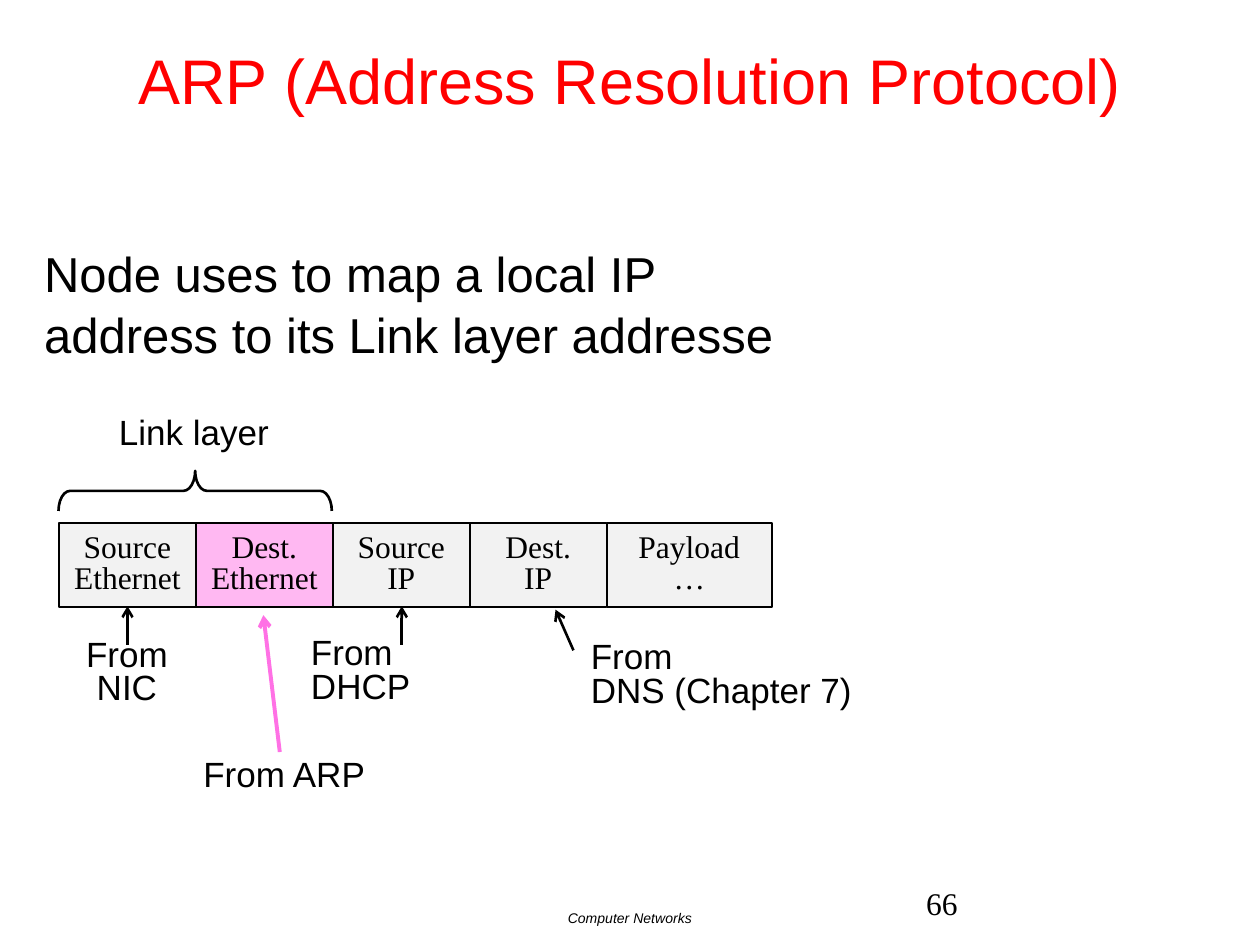
"""Build the slide on ARP and where each packet field comes from."""
from pptx import Presentation
from pptx import util as u
from pptx.dml.color import RGBColor
from pptx.enum import shapes, text
from pptx.oxml.ns import qn
from lxml import etree

BLACK = RGBColor(0x00, 0x00, 0x00)
RED = RGBColor(0xFF, 0x00, 0x00)
GRAY = RGBColor(0xF2, 0xF2, 0xF2)
LIGHT_PINK = RGBColor(0xFF, 0xB8, 0xF2)
PINK = RGBColor(0xFF, 0x71, 0xE5)
SANS, SERIF = "Arial", "Times New Roman"
LEFT, CENTER = text.PP_ALIGN.LEFT, text.PP_ALIGN.CENTER


def write(shape, content, size, font=SANS, color=BLACK, align=LEFT, spacing=1.0, wrap=True):
    frame = shape.text_frame
    frame.text = content
    frame.word_wrap = wrap
    for paragraph in frame.paragraphs:
        paragraph.alignment = align
        paragraph.line_spacing = spacing
        for run in paragraph.runs:
            run.font.size = u.Pt(size)
            run.font.name = font
            run.font.color.rgb = color
    return frame


def add_text(left, top, width, height, content, size, **style):
    box = slide.shapes.add_textbox(u.Cm(left), u.Cm(top), u.Cm(width), u.Cm(height))
    return write(box, content, size, **style)


presentation = Presentation()
presentation.slide_width = u.Cm(25.4)
presentation.slide_height = u.Cm(19.05)
slide = presentation.slides.add_slide(presentation.slide_layouts[6])

footer = add_text(0, 18.21, 25.4, 0.84, "Computer Networks", 8, align=CENTER)
footer.paragraphs[0].runs[0].font.italic = True
add_text(18.42, 17.7, 5.92, 1.02, "66", 18, font=SERIF)
title = add_text(0, 0, 25.4, 3.18, "ARP (Address Resolution Protocol)", 36, color=RED, align=CENTER)
title.vertical_anchor = text.MSO_ANCHOR.MIDDLE
body = add_text(0.64, 4.72, 15.88, 12.42,
                "Node uses to map a local IP address to its Link layer addresse", 28, spacing=1.05)
body.paragraphs[0].space_before = u.Pt(18)

fields = [
    ("Source\nEthernet", 2.76, GRAY),
    ("Dest.\nEthernet", 2.76, LIGHT_PINK),
    ("Source IP", 2.76, GRAY),
    ("Dest.\nIP", 2.76, GRAY),
    ("Payload\v…", 3.33, GRAY),
]
field_left = 1.19
for label, width, fill in fields:
    field = slide.shapes.add_shape(
        shapes.MSO_SHAPE.RECTANGLE, u.Cm(field_left), u.Cm(10.54), u.Cm(width), u.Cm(1.7))
    field.shadow.inherit = False
    field.fill.solid()
    field.fill.fore_color.rgb = fill
    field.line.color.rgb = BLACK
    field.line.width = u.Pt(1)
    frame = write(field, label, 18, font=SERIF, align=CENTER, spacing=0.8)
    frame.vertical_anchor = text.MSO_ANCHOR.MIDDLE
    field_left += width

brace = slide.shapes.add_shape(
    shapes.MSO_SHAPE.RIGHT_BRACE, u.Cm(3.53), u.Cm(7.14), u.Cm(0.81), u.Cm(5.51))
brace.rotation = 270
brace.adjustments[0] = 0.29
brace.shadow.inherit = False
brace.fill.background()
brace.line.color.rgb = BLACK
brace.line.width = u.Pt(1.5)

add_text(2.13, 8.15, 3.56, 1.12, "Link layer", 20, align=CENTER, wrap=False)
add_text(6.02, 12.75, 2.9, 1.63, "From\nDHCP", 20, spacing=0.8)
add_text(1.47, 12.78, 2.18, 1.63, "From\nNIC", 20, align=CENTER, spacing=0.8, wrap=False)
add_text(11.66, 12.83, 5.82, 1.63, "From\nDNS (Chapter 7)", 20, spacing=0.8, wrap=False)
arp = add_text(4.09, 15.16, 3.28, 0.86, "From ARP", 20, align=CENTER, wrap=False)
arp.margin_left = arp.margin_right = arp.margin_top = arp.margin_bottom = 0

arrows = [
    (8.1, 13.0, 8.1, 12.22, BLACK, 1.5),
    (2.57, 13.0, 2.57, 12.22, BLACK, 1.5),
    (5.64, 15.16, 5.31, 12.4, PINK, 2.25),
    (11.56, 13.11, 11.2, 12.29, BLACK, 1.5),
]
for start_x, start_y, end_x, end_y, color, weight in arrows:
    arrow = slide.shapes.add_connector(
        shapes.MSO_CONNECTOR.STRAIGHT, u.Cm(start_x), u.Cm(start_y), u.Cm(end_x), u.Cm(end_y))
    arrow.line.color.rgb = color
    arrow.line.width = u.Pt(weight)
    etree.SubElement(arrow.line._get_or_add_ln(), qn("a:tailEnd"), type="arrow")
    etree.SubElement(arrow._element.spPr, qn("a:effectLst"))

presentation.save("out.pptx")
